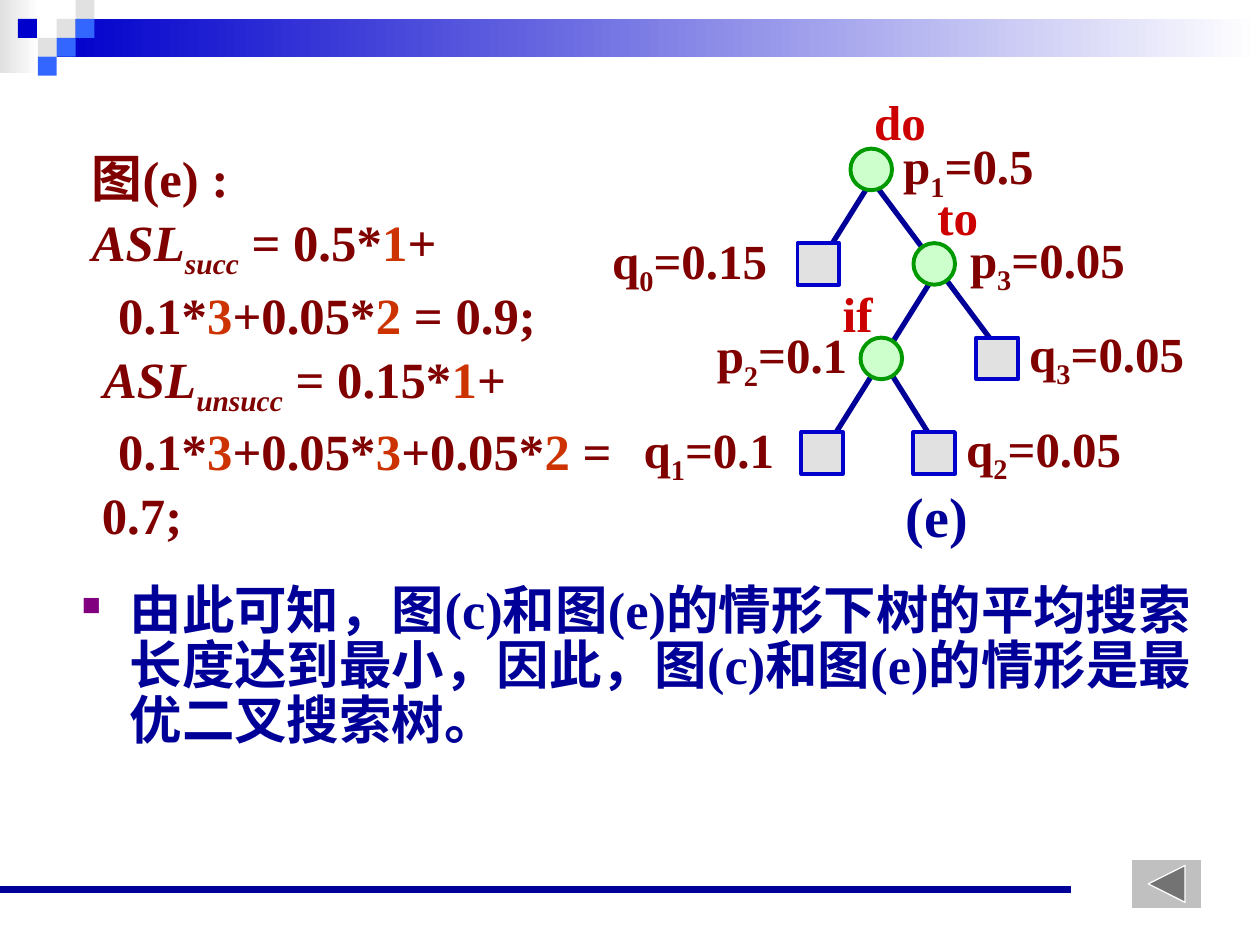
import pptx
import pptx.util
import pptx.dml.color
import pptx.enum.shapes
import pptx.enum.text
import pptx.oxml.ns
from lxml import etree

Inches = pptx.util.Inches
Pt = pptx.util.Pt
SHAPE = pptx.enum.shapes.MSO_SHAPE
qn = pptx.oxml.ns.qn

FONT = "Times New Roman"
CJK_FONT = "Noto Sans CJK JP"
CJK_SPACING = 0.87
COLORS = {
    "navy": "000099", "blue": "0000CC", "sky": "3366FF", "gray": "E1E1E1",
    "white": "FFFFFF", "maroon": "800000", "red": "CC0000", "orange": "CC3300",
    "mint": "CCFFCC", "green": "009900", "purple": "800080", "silver": "C0C0C0",
}
NODE = 0.33
LABEL_SLACK = 0.06


def rgb(name):
    return pptx.dml.color.RGBColor.from_string(COLORS[name])


def add_run(p, text, size=29, color="maroon", italic=False, sub=False):
    r = p.add_run()
    r.text = text
    r.font.name = FONT
    r.font.size = Pt(size)
    r.font.bold = True
    r.font.italic = italic
    r.font.color.rgb = rgb(color)
    rPr = r._r.get_or_add_rPr()
    etree.SubElement(rPr, qn("a:ea")).set("typeface", CJK_FONT)
    if sub:
        rPr.set("baseline", "-25000")


def add_box(slide, x, y, w, h, wrap=True):
    tf = slide.shapes.add_textbox(Inches(x), Inches(y), Inches(w), Inches(h)).text_frame
    tf.word_wrap = wrap
    return tf


def set_indent(p, left, first, spacing=1.05):
    pPr = p._p.get_or_add_pPr()
    pPr.set("marL", str(Inches(left)))
    pPr.set("indent", str(Inches(first)))
    p.line_spacing = spacing


def add_bullet(p, char, color, percent):
    pPr = p._p.get_or_add_pPr()
    clr = etree.SubElement(pPr, qn("a:buClr"))
    etree.SubElement(clr, qn("a:srgbClr")).set("val", COLORS[color])
    etree.SubElement(pPr, qn("a:buSzPct")).set("val", str(percent * 1000))
    etree.SubElement(pPr, qn("a:buChar")).set("char", char)


def add_shape(slide, kind, x, y, w, h, fill, line=None, width=2.25):
    sp = slide.shapes.add_shape(kind, Inches(x), Inches(y), Inches(w), Inches(h))
    sp.shadow.inherit = False
    sp.fill.solid()
    sp.fill.fore_color.rgb = rgb(fill)
    if line:
        sp.line.color.rgb = rgb(line)
        sp.line.width = Pt(width)
    else:
        sp.line.fill.background()
    return sp


def add_fade(slide, x, y, w, h, color):
    sp = add_shape(slide, SHAPE.RECTANGLE, x, y, w, h, color)
    sp.fill.gradient()
    sp.fill.gradient_angle = 0
    for stop, name in zip(sp.fill.gradient_stops, (color, "white")):
        stop.color.rgb = rgb(name)


def add_line(slide, x1, y1, x2, y2, width):
    cx = slide.shapes.add_connector(
        pptx.enum.shapes.MSO_CONNECTOR.STRAIGHT,
        Inches(x1), Inches(y1), Inches(x2), Inches(y2))
    cx.line.color.rgb = rgb("navy")
    cx.line.width = Pt(width)
    etree.SubElement(cx._element.spPr, qn("a:effectLst"))


def add_label(slide, x, y, w, h, *parts, size=28, color="maroon"):
    tf = add_box(slide, x, y, w + LABEL_SLACK, h, wrap=False)
    tf.margin_right = Inches(0.05)
    for i, text in enumerate(parts):
        add_run(tf.paragraphs[0], text, size=size, color=color, sub=i == 1)


def add_frame(slide):
    add_fade(slide, 0, 0, 0.31, 0.58, "gray")
    add_fade(slide, 0.45, 0.15, 9.55, 0.3, "blue")
    tiles = [(3, 1, "gray"), (4, 0, "gray"), (4, 1, "sky"), (2, 2, "gray"),
             (0.95, 1, "blue"), (3, 2, "sky"), (2, 3, "sky")]
    for col, row, color in tiles:
        add_shape(slide, SHAPE.RECTANGLE, col * 0.15, row * 0.15, 0.15, 0.15, color)
    add_line(slide, 0, 7.06, 8.5, 7.06, 4.5)


def add_conclusion(slide):
    p = add_box(slide, 0.55, 4.6, 9.06, 1.67).paragraphs[0]
    set_indent(p, 0.38, -0.38, CJK_SPACING)
    add_bullet(p, "■", "purple", 50)
    add_run(p, "由此可知，图(c)和图(e)的情形下树的平均搜索长度达到最小，"
               "因此，图(c)和图(e)的情形是最优二叉搜索树。", size=30, color="navy")


def add_tree(slide):
    edges = [(7, 2.85, 7.42, 3.52), (6.92, 1.43, 6.5, 2.1), (7.42, 2.18, 7, 2.85),
             (6.95, 2.93, 6.53, 3.6), (6.92, 1.43, 7.92, 2.77)]
    for edge in edges:
        add_line(slide, *edge, 3)
    for x, y in [(6.75, 1.18), (7.25, 1.93), (6.83, 2.68)]:
        add_shape(slide, SHAPE.OVAL, x, y, NODE, NODE, "mint", "green")
    for x, y in [(6.33, 1.93), (7.75, 2.68), (6.36, 3.43), (7.25, 3.43)]:
        add_shape(slide, SHAPE.RECTANGLE, x, y, NODE, NODE, "gray", "blue")
    for x, y, w, key in [(6.84, 0.68, 0.61, "do"), (6.59, 2.2, 0.44, "if"),
                         (7.34, 1.43, 0.52, "to")]:
        add_label(slide, x, y, w, 0.57, key, color="red")
    weights = [
        (4.76, 1.78, "q", "0", "=0.15"), (5.01, 3.28, "q", "1", "=0.1"),
        (7.07, 1.03, "p", "1", "=0.5"), (7.57, 3.27, "q", "2", "=0.05"),
        (5.59, 2.53, "p", "2", "=0.1"), (8.07, 2.52, "q", "3", "=0.05"),
        (7.6, 1.77, "p", "3", "=0.05"),
    ]
    for x, y, name, index, value in weights:
        add_label(slide, x, y, 1.43 if len(value) == 5 else 1.23, 0.63, name, index, value)
    add_label(slide, 7.09, 3.77, 0.69, 0.64, "(e)", size=32, color="navy")


def add_formulas(slide):
    tf = add_box(slide, 0.33, 1.18, 4.75, 3.56)
    name, sub, mark = {"italic": True}, {"italic": True, "sub": True}, {"color": "orange"}
    lines = [
        (-0.08, CJK_SPACING, [("图(e) :", {})]),
        (-0.08, 1.05, [("ASL", name), ("succ", sub), (" = 0.5*", {}), ("1", mark), ("+", {})]),
        (0.13, 1.05, [("0.1*", {}), ("3", mark), ("+0.05*", {}), ("2", mark), (" = 0.9;", {})]),
        (0.01, 1.05, [("ASL", name), ("unsucc", sub), (" = 0.15*", {}), ("1", mark), ("+", {})]),
        (0.13, 1.05, [("0.1*", {}), ("3", mark), ("+0.05*", {}), ("3", mark),
                      ("+0.05*", {}), ("2", mark), (" = 0.7;", {})]),
    ]
    for i, (first, spacing, runs) in enumerate(lines):
        p = tf.add_paragraph() if i else tf.paragraphs[0]
        set_indent(p, 0.38, first, spacing)
        for text, fmt in runs:
            add_run(p, text, **fmt)


def main():
    prs = pptx.Presentation()
    prs.slide_width, prs.slide_height = Inches(10), Inches(7.5)
    slide = prs.slides.add_slide(prs.slide_layouts[6])
    add_frame(slide)
    add_conclusion(slide)
    add_tree(slide)
    add_shape(slide, SHAPE.ACTION_BUTTON_BACK_OR_PREVIOUS, 8.98, 6.82, 0.56, 0.39,
              "silver", "white", 0.75)
    add_formulas(slide)
    prs.save("out.pptx")


if __name__ == "__main__":
    main()
